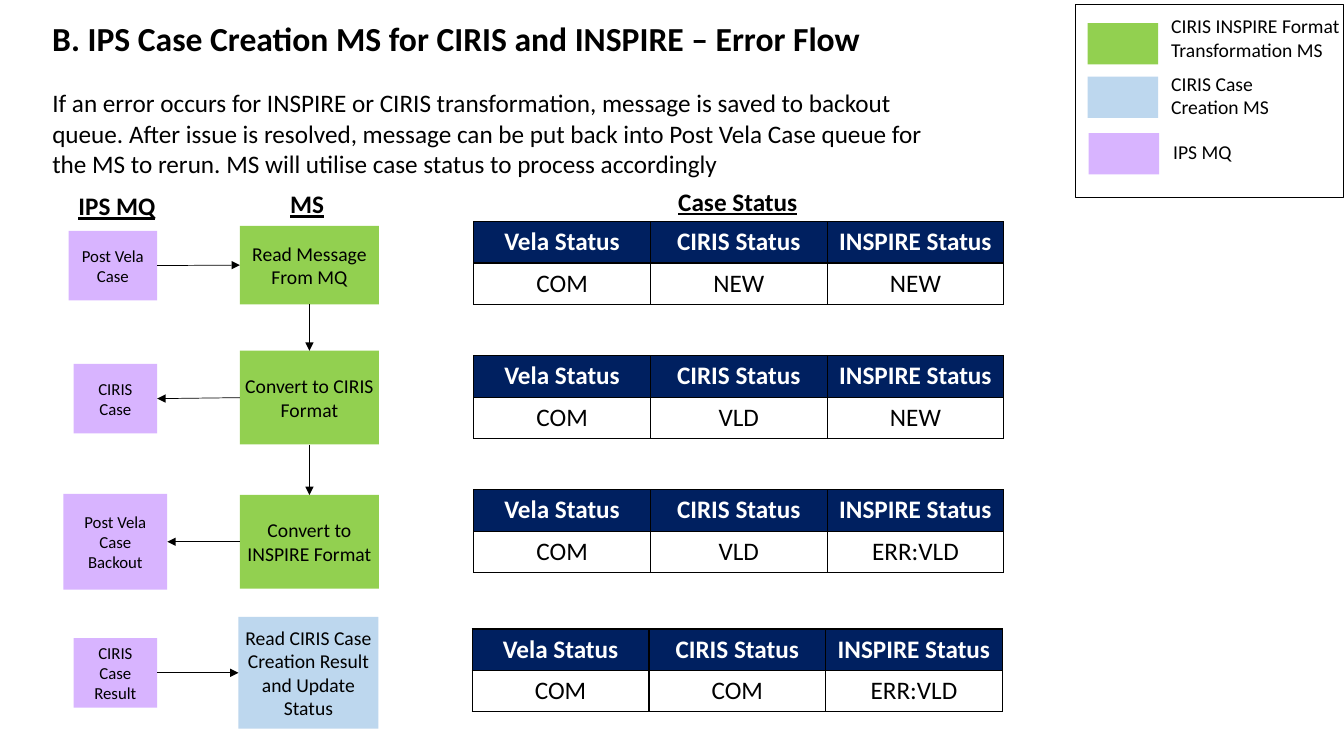
from dataclasses import dataclass
from itertools import pairwise, product

from lxml.etree import SubElement
from pptx import Presentation
from pptx.dml.color import RGBColor as RGB
from pptx.enum.shapes import MSO_CONNECTOR as CONN, MSO_SHAPE as SHAPE
from pptx.enum.text import MSO_ANCHOR as ANCHOR, MSO_AUTO_SIZE as FIT, PP_ALIGN as ALIGN
from pptx.oxml import parse_xml
from pptx.oxml.ns import nsdecls, qn
from pptx.util import Inches, Pt

UNIT = Inches(0.1)
COLS, ROWS = 133.33, 75
TOP, LEFT, BOTTOM, RIGHT = range(4)
COLORS = {
    "black": "000000",
    "white": "FFFFFF",
    "navy": "002060",
    "green": "92D050",
    "blue": "BDD7EE",
    "purple": "D8B4FF",
}
FORMATS = {
    "title": {"size": Pt(24), "bold": True},
    "body": {"size": Pt(18)},
    "heading": {"size": Pt(18), "bold": True, "underline": True},
    "table head": {"size": Pt(18), "bold": True},
    "step": {"size": Pt(14)},
    "queue": {"size": Pt(12)},
}
STATUS_HEADS = ("Vela Status", "CIRIS Status", "INSPIRE Status")
STATUS_COL, STATUS_ROW = 17.53, 4.1


@dataclass(frozen=True)
class Area:
    col: float
    row: float
    cols: float
    rows: float

    def emu(self) -> list[int]:
        return [round(n * UNIT) for n in (self.col, self.row, self.cols, self.rows)]


@dataclass(frozen=True)
class Step:
    text: str
    area: Area
    color: str
    queue: str
    queue_area: Area
    reads_queue: bool
    status_at: tuple[float, float]
    statuses: tuple[str, str, str]


@dataclass(frozen=True)
class Label:
    text: str
    area: Area
    style: str


@dataclass(frozen=True)
class LegendKey:
    color: str
    swatch: Area
    label: Label


STEPS = (
    Step("Read Message From MQ", Area(23.8, 22.4, 13.8, 7.8), "green",
         "Post Vela Case", Area(6.8, 22.9, 8.8, 6.9), True,
         (47, 22), ("COM", "NEW", "NEW")),
    Step("Convert to CIRIS Format", Area(23.8, 34.8, 13.8, 9.3), "green",
         "CIRIS Case", Area(7.3, 36.1, 8.3, 6.9), False,
         (47, 35.3), ("COM", "VLD", "NEW")),
    Step("Convert to INSPIRE Format", Area(23.8, 49.1, 13.8, 9.3), "green",
         "Post Vela Case Backout", Area(6.3, 49, 10.3, 9.5), False,
         (47, 48.6), ("COM", "VLD", "ERR:VLD")),
    Step("Read CIRIS Case Creation Result and Update Status",
         Area(23.65, 61.2, 13.9, 11.1), "blue",
         "CIRIS Case Result", Area(7.3, 63.3, 8.3, 6.9), True,
         (46.85, 62.4), ("COM", "COM", "ERR:VLD")),
)
TITLE = Label("B. IPS Case Creation MS for CIRIS and INSPIRE – Error Flow",
              Area(4.2, -0.1, 125, 8.2), "title")
LABELS = (
    Label("If an error occurs for INSPIRE or CIRIS transformation, message is saved to "
          "backout queue. After issue is resolved, message can be put back into Post Vela "
          "Case queue for the MS to rerun. MS will utilise case status to process accordingly",
          Area(4.2, 8.2, 92.1, 10.1), "body"),
    Label("IPS MQ", Area(6.8, 18.4, 10.3, 4), "heading"),
    Label("MS", Area(27.8, 18.2, 10.3, 4), "heading"),
    Label("Case Status", Area(66.3, 18, 18.2, 4), "heading"),
)
LEGEND_FRAME = Area(106.7, 0.4, 26.6, 19.2)
LEGEND = (
    LegendKey("green", Area(107.9, 2.3, 7, 4.1),
              Label("CIRIS INSPIRE Format Transformation MS", Area(115.2, 0.9, 18.9, 5.7), "step")),
    LegendKey("blue", Area(107.9, 7.6, 7, 4.1),
              Label("CIRIS Case Creation MS", Area(115.2, 6.6, 17, 5.7), "step")),
    LegendKey("purple", Area(108, 13.2, 7, 4.1),
              Label("IPS MQ", Area(115.4, 13.4, 18.8, 3.4), "step")),
)


def rgb(name: str) -> RGB:
    return RGB.from_string(COLORS[name])


def write(tf, text: str, style: str, color: str = "black", align=ALIGN.LEFT) -> None:
    p = tf.paragraphs[0]
    p.alignment = align
    r = p.add_run()
    r.text = text
    for name, value in {"name": "Calibri", **FORMATS[style]}.items():
        setattr(r.font, name, value)
    r.font.color.rgb = rgb(color)


def add_label(shapes, label: Label):
    tf = shapes.add_textbox(*label.area.emu()).text_frame
    tf.word_wrap = True
    tf.auto_size = FIT.SHAPE_TO_FIT_TEXT
    write(tf, label.text, label.style)
    return tf


def add_box(shapes, area: Area, color: str = ""):
    sp = shapes.add_shape(SHAPE.RECTANGLE, *area.emu())
    sp.shadow.inherit = False
    if color:
        sp.fill.solid()
        sp.fill.fore_color.rgb = rgb(color)
        sp.line.fill.background()
    else:
        sp.fill.background()
        sp.line.color.rgb = rgb("black")
        sp.line.width = Pt(0.75)
    return sp


def add_text_box(shapes, area: Area, color: str, text: str, style: str, inset: float):
    sp = add_box(shapes, area, color)
    tf = sp.text_frame
    margins = {f"margin_{side}": Inches(inset) for side in ("left", "top", "right", "bottom")}
    for name, value in {"word_wrap": True, "vertical_anchor": ANCHOR.MIDDLE, **margins}.items():
        setattr(tf, name, value)
    write(tf, text, style, align=ALIGN.CENTER)
    return sp


def add_arrow(shapes, start, start_side: int, end, end_side: int) -> None:
    cx = shapes.add_connector(CONN.STRAIGHT, 0, 0, 0, 0)
    cx.begin_connect(start, start_side)
    cx.end_connect(end, end_side)
    cx.line.color.rgb = rgb("black")
    cx.line.width = Pt(0.5)
    SubElement(cx.line._get_or_add_ln(), qn("a:tailEnd"), type="triangle")
    SubElement(cx._element.spPr, qn("a:effectLst"))


def add_borders(cell) -> None:
    tcPr = cell._tc.get_or_add_tcPr()
    for i, side in enumerate("LRTB"):
        tcPr.insert(i, parse_xml(
            f'<a:ln{side} {nsdecls("a")} w="{Pt(1)}"><a:solidFill>'
            f'<a:srgbClr val="{COLORS["black"]}"/></a:solidFill></a:ln{side}>'))


def add_status_table(shapes, at: tuple[float, float], statuses: tuple[str, ...]) -> None:
    rows = (STATUS_HEADS, statuses)
    area = Area(*at, STATUS_COL * len(STATUS_HEADS), STATUS_ROW * len(rows))
    table = shapes.add_table(len(rows), len(STATUS_HEADS), *area.emu()).table
    table.first_row = table.horz_banding = False
    for i, j in product(range(len(rows)), range(len(STATUS_HEADS))):
        cell = table.cell(i, j)
        if i == 0:
            cell.fill.solid()
            cell.fill.fore_color.rgb = rgb("navy")
        else:
            cell.fill.background()
        style, color = ("body", "black") if i else ("table head", "white")
        write(cell.text_frame, rows[i][j], style, color, ALIGN.CENTER)
        add_borders(cell)


def add_step(shapes, step: Step):
    sp = add_text_box(shapes, step.area, step.color, step.text, "step", 0)
    queue = add_text_box(shapes, step.queue_area, "purple", step.queue, "queue", 0.1)
    ends = [(queue, RIGHT), (sp, LEFT)]
    start, end = ends if step.reads_queue else reversed(ends)
    add_arrow(shapes, *start, *end)
    add_status_table(shapes, step.status_at, step.statuses)
    return sp


def main() -> None:
    prs = Presentation()
    prs.slide_width, prs.slide_height = round(COLS * UNIT), ROWS * UNIT
    shapes = prs.slides.add_slide(prs.slide_layouts[6]).shapes
    title = add_label(shapes, TITLE)
    title.auto_size = FIT.NONE
    title.vertical_anchor = ANCHOR.MIDDLE
    title.paragraphs[0].line_spacing = 0.9
    for label in LABELS:
        add_label(shapes, label)
    add_box(shapes, LEGEND_FRAME)
    for key in LEGEND:
        add_box(shapes, key.swatch, key.color)
        add_label(shapes, key.label)
    boxes = [add_step(shapes, step) for step in STEPS]
    for upper, lower in pairwise(boxes[:3]):
        add_arrow(shapes, upper, BOTTOM, lower, TOP)
    prs.save("out.pptx")


if __name__ == "__main__":
    main()
